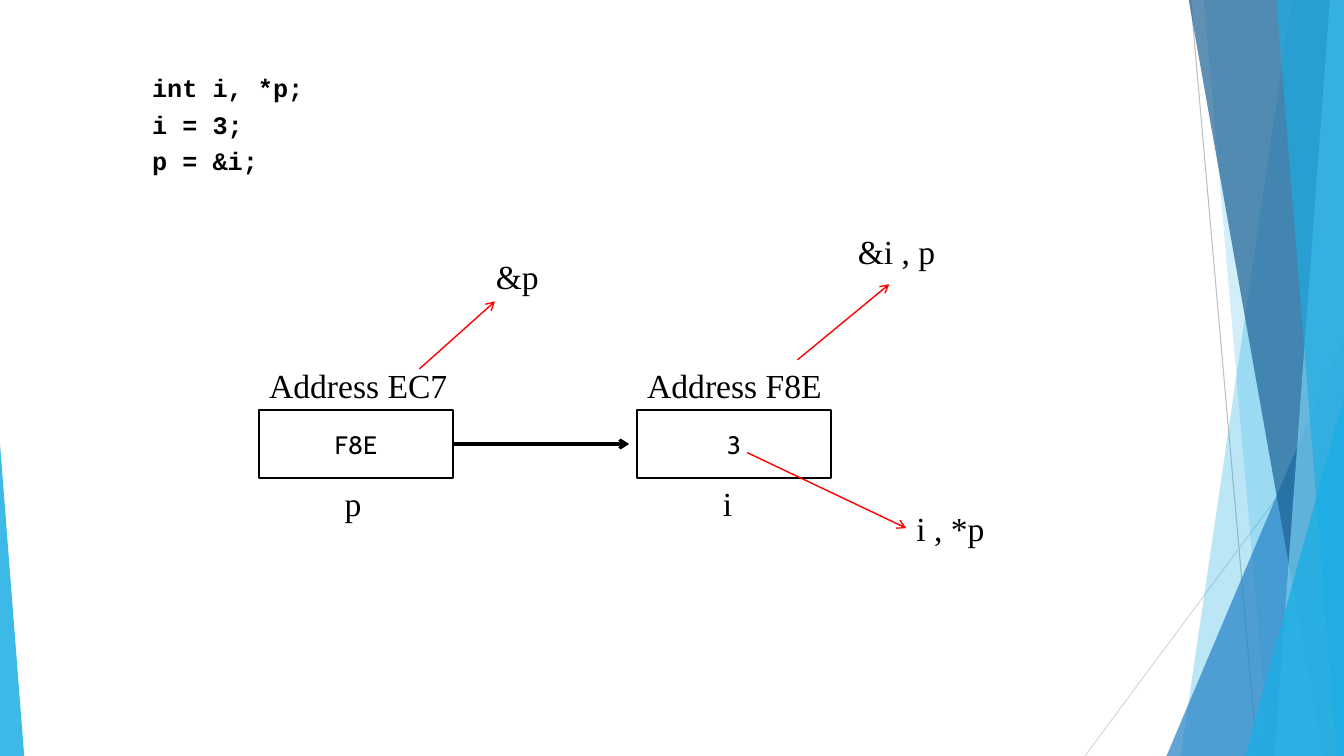
from collections import namedtuple
from dataclasses import dataclass

from lxml import etree
from pptx import Presentation
from pptx.dml.color import RGBColor
from pptx.enum.shapes import MSO_CONNECTOR, MSO_SHAPE
from pptx.enum.text import MSO_ANCHOR, PP_ALIGN
from pptx.oxml.ns import qn
from pptx.util import Inches, Pt

LINE = MSO_CONNECTOR.STRAIGHT
RECT, TRIANGLE = MSO_SHAPE.RECTANGLE, MSO_SHAPE.ISOSCELES_TRIANGLE
LEFT, CENTER = PP_ALIGN.LEFT, PP_ALIGN.CENTER
TOP, MIDDLE = MSO_ANCHOR.TOP, MSO_ANCHOR.MIDDLE
RIGHT_SIDE = 3

Box = namedtuple("Box", "x y w h")
# Offsets are measured from the top left corner of the memory cell.
Note = namedtuple("Note", "text at start end")


@dataclass(frozen=True)
class Theme:
    ink: str = "000000"
    note: str = "FF0000"
    cyan: str = "1CADE4"
    blue: str = "2683C6"
    navy: str = "1D6294"
    sky: str = "77CEEF"
    grey: str = "BFBFBF"
    pale: str = "D9D9D9"
    code_font: str = "Courier New"
    label_font: str = "Times New Roman"
    value_font: str = "Cabin"
    code_size: float = 18
    label_size: float = 24
    code_gap: float = 4.5


THEME = Theme()
PAGE = Box(0, 0, 13.33, 7.5)
CODE = Box(1.41, 0.67, 4.08, 1.33)
CELL_W, CELL_H = 1.92, 0.67
CELL_X, CELL_Y, CELL_STEP = 2.57, 4.07, 3.75
LABEL_H = 0.45


def inches(*values):
    return [Inches(v) for v in values]


def paint(shape, color, opacity):
    """Fill a shape without outline; opacity is in percent."""
    shape.shadow.inherit = False
    shape.line.fill.background()
    shape.fill.solid()
    shape.fill.fore_color.rgb = RGBColor.from_string(color)
    srgb = shape.fill._xPr.find(".//" + qn("a:srgbClr"))
    etree.SubElement(srgb, qn("a:alpha")).set("val", str(opacity * 1000))


def write(shape, text, *, font=THEME.label_font, size=THEME.label_size, bold=False,
          align=LEFT, anchor=TOP, wrap=False, gap=0):
    """Write one paragraph for each line of text."""
    tf = shape.text_frame
    tf.word_wrap = wrap
    tf.vertical_anchor = anchor
    for i, line in enumerate(text.split("\n")):
        p = tf.add_paragraph() if i else tf.paragraphs[0]
        p.alignment = align
        p.space_before = Pt(gap if i else 0)
        r = p.add_run()
        r.text = line
        r.font.name, r.font.size, r.font.bold = font, Pt(size), bold
        r.font.color.rgb = RGBColor.from_string(THEME.ink)


def add_label(s, text, x, y, width):
    write(s.shapes.add_textbox(*inches(x, y, width, LABEL_H)), text)


def add_line(s, start, end, color, weight, arrow=False):
    c = s.shapes.add_connector(LINE, *inches(*start, *end))
    c.line.color.rgb = RGBColor.from_string(color)
    c.line.width = Pt(weight)
    if arrow:
        etree.SubElement(c.line._get_or_add_ln(), qn("a:tailEnd")).set("type", "arrow")
    etree.SubElement(c._element.spPr, qn("a:effectLst"))
    return c


def add_band(s, box, top_x, bottom_x, color, opacity):
    """Fill from a slanted left edge to the right side of the box."""
    right, bottom = box.x + box.w, box.y + box.h
    fb = s.shapes.build_freeform(*inches(top_x, box.y), scale=1.0)
    corners = [(right, box.y), (right, bottom), (bottom_x, bottom)]
    fb.add_line_segments([inches(*point) for point in corners], close=True)
    paint(fb.convert_to_shape(), color, opacity)


def add_wedge(s, box, x, y, width, apex, color, opacity):
    """Draw a triangle down to the bottom of the box; apex 0 is left, 1 right."""
    shape = s.shapes.add_shape(TRIANGLE, *inches(x, y, width, box.y + box.h - y))
    shape.adjustments[0] = apex
    paint(shape, color, opacity)


def add_backdrop(s, box):
    right, bottom = box.x + box.w, box.y + box.h
    add_line(s, (11.81, box.y), (12.47, bottom), THEME.grey, 0.75)
    add_line(s, (right, 4.04), (10.76, bottom), THEME.pale, 0.75)
    add_band(s, box, 12.81, 11.71, THEME.cyan, 30)
    add_band(s, box, 11.94, 12.59, THEME.cyan, 20)
    add_wedge(s, box, 11.57, 3.34, right - 11.57, 1, THEME.blue, 72)
    add_band(s, box, 11.79, 13.12, THEME.navy, 70)
    add_band(s, box, 13.19, 12.64, THEME.sky, 70)
    add_band(s, box, 12.66, 13.26, THEME.cyan, 65)
    add_wedge(s, box, 12.35, 3.94, right - 12.35, 1, THEME.cyan, 80)
    add_wedge(s, box, box.x, 4.4, 0.24, 0, THEME.cyan, 85)


def add_code(s, box, text):
    write(s.shapes.add_textbox(*inches(*box)), text, font=THEME.code_font,
          size=THEME.code_size, bold=True, wrap=True, gap=THEME.code_gap)


def add_cell(s, box, name, address, value, notes):
    """Draw a variable with its address above, its name below and its notes."""
    cell = s.shapes.add_shape(RECT, *inches(*box))
    cell.shadow.inherit = False
    cell.fill.background()
    cell.line.color.rgb = RGBColor.from_string(THEME.ink)
    cell.line.width = Pt(1.5)
    write(cell, value, font=THEME.value_font, size=THEME.code_size,
          align=CENTER, anchor=MIDDLE, wrap=True)
    add_label(s, f"Address {address}", box.x, box.y - 0.5, 2.24)
    add_label(s, name, box.x + 0.75, box.y + box.h, 0.41)
    for note in notes:
        at, start, end = ((box.x + dx, box.y + dy) for dx, dy in note[1:])
        add_label(s, note.text, *at, 1)
        add_line(s, start, end, THEME.note, 1, arrow=True)
    return cell


def add_memory(s):
    variables = [
        ("p", "EC7", "F8E", [Note("&p", (2.25, -1.58), (1.59, -0.41), (2.34, -1.08))]),
        ("i", "F8E", "3", [Note("&i , p", (2.09, -1.83), (1.59, -0.5), (2.5, -1.25)),
                           Note("i , *p", (2.67, 0.92), (1.09, 0.42), (2.67, 1.17))]),
    ]
    boxes = [Box(CELL_X + i * CELL_STEP, CELL_Y, CELL_W, CELL_H)
             for i in range(len(variables))]
    pointer, _ = [add_cell(s, box, *var) for box, var in zip(boxes, variables)]
    y = CELL_Y + CELL_H / 2
    link = add_line(s, (CELL_X + CELL_W, y), (boxes[1].x - 0.08, y),
                    THEME.ink, 2.25, arrow=True)
    link.begin_connect(pointer, RIGHT_SIDE)


def main():
    prs = Presentation()
    prs.slide_width, prs.slide_height = inches(PAGE.w, PAGE.h)
    s = prs.slides.add_slide(prs.slide_layouts.get_by_name("Blank"))
    add_backdrop(s, PAGE)
    add_code(s, CODE, "int i, *p;\ni = 3;\np = &i;")
    add_memory(s)
    prs.save("out.pptx")


if __name__ == "__main__":
    main()
